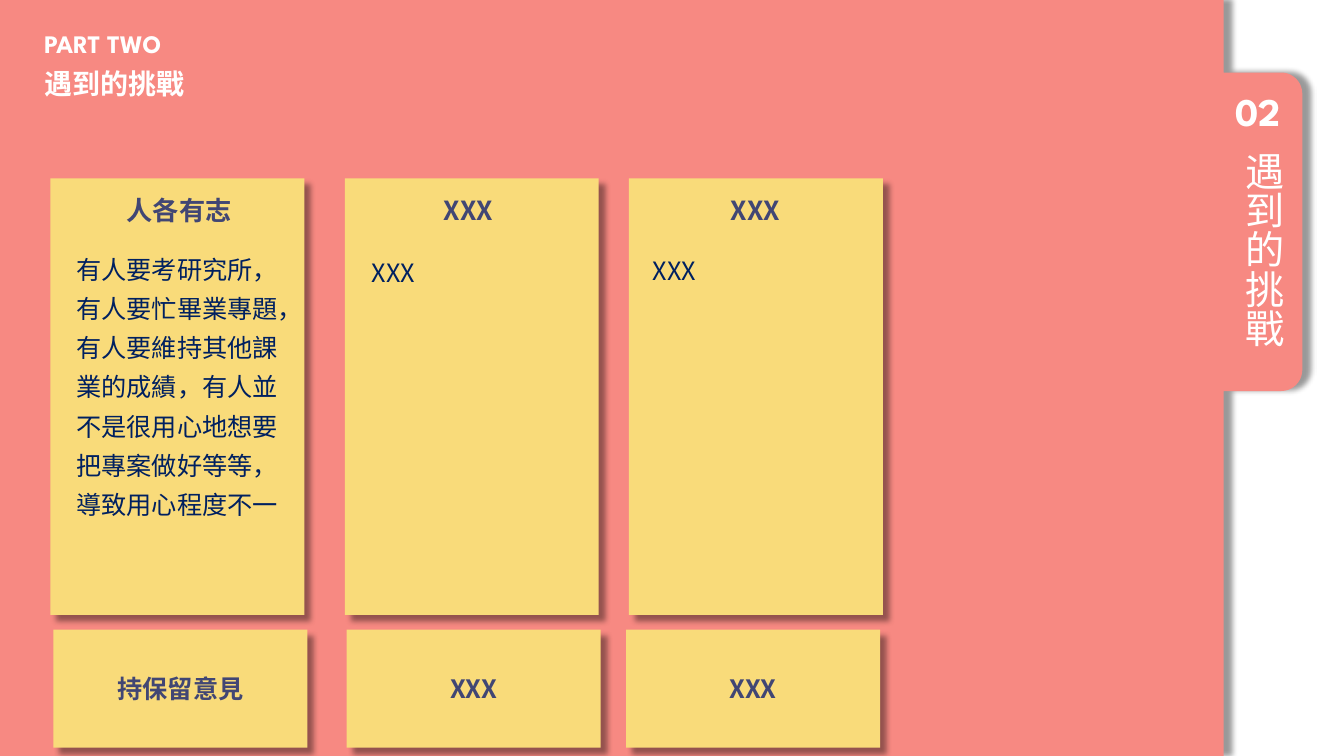
from dataclasses import dataclass
from math import cos, radians, sin

from lxml.etree import SubElement
from pptx import Presentation
from pptx.dml.color import RGBColor
from pptx.enum.shapes import MSO_SHAPE as Preset
from pptx.enum.text import MSO_ANCHOR as Anchor, MSO_AUTO_SIZE as Fit, PP_ALIGN as Align
from pptx.oxml.ns import qn
from pptx.util import Inches, Pt

WIDTH, HEIGHT = Inches(13.333), Inches(7.5)
CORAL = RGBColor(0xF7, 0x89, 0x82)
YELLOW = RGBColor(0xF9, 0xDB, 0x7A)
INDIGO = RGBColor(0x41, 0x46, 0x74)
NAVY = RGBColor(0x00, 0x20, 0x60)
WHITE = RGBColor(0xFF, 0xFF, 0xFF)
SANS = "Noto Sans CJK SC"
DISPLAY = "League Spartan"

CARD_TOP, CARD_WIDTH, CARD_HEIGHT = 23.6, 18.9, 57.73
TITLE_TOP, TITLE_HEIGHT = 25.1, 5.6
BODY_WIDTH = 16.5
VERDICT_TOP, VERDICT_HEIGHT = 83.3, 15.6


@dataclass
class Challenge:
    left: float
    title: str
    title_left: float
    title_width: float
    body: str
    body_left: float
    body_top: float
    body_height: float
    verdict: str
    verdict_left: float


CHALLENGES = [
    Challenge(3.75, "人各有志", 8.63, 9.38,
              "有人要考研究所，有人要忙畢業專題，有人要維持其他課業的成績，"
              "有人並不是很用心地想要把專案做好等等，導致用心程度不一",
              4.95, 31.73, 42.8, "持保留意見", 3.98),
    Challenge(25.65, "XXX", 32.03, 5.63, "XXX", 26.93, 32.13, 6.13, "XXX", 25.8),
    Challenge(46.8, "XXX", 53.4, 5.63, "XXX", 47.85, 31.87, 6.13, "XXX", 46.58),
]


def across(percent):
    return int(WIDTH * percent / 100)


def down(percent):
    return int(HEIGHT * percent / 100)


def area(left, top, width, height):
    return across(left), down(top), across(width), down(height)


def write(frame, words, size, color, font=SANS, bold=False, align=Align.LEFT):
    frame.text = words
    paragraph = frame.paragraphs[0]
    paragraph.alignment = align
    for run in paragraph.runs:
        run.font.size = Pt(size)
        run.font.bold = bold
        run.font.name = font
        run.font.color.rgb = color
        SubElement(run.font._element, qn("a:ea"), typeface=font)
    return paragraph


def finish(shape, color, shadow_angle):
    shape.fill.solid()
    shape.fill.fore_color.rgb = color
    shape.line.fill.background()
    shape.shadow.inherit = False
    effects = shape._element.spPr.find(qn("a:effectLst"))
    shadow = SubElement(effects, qn("a:outerShdw"), blurRad=str(Pt(4)), dist=str(Pt(6)),
                        dir=str(shadow_angle * 60000), algn="tl", rotWithShape="0")
    black = SubElement(shadow, qn("a:srgbClr"), val="000000")
    SubElement(black, qn("a:alpha"), val="40000")


def add_panel(slide):
    edge, tab_edge, tab_top, tab_bottom = across(91.05), across(96.9), down(9.6), down(51.73)
    radius = Inches(0.21)

    def corner(center_y, start):
        return [(int(tab_edge - radius + radius * cos(radians(angle))),
                 int(center_y + radius * sin(radians(angle))))
                for angle in range(start, start + 91, 6)]

    outline = [(edge, 0), (edge, tab_top), *corner(tab_top + radius, -90),
               *corner(tab_bottom - radius, 0), (edge, tab_bottom),
               (edge, HEIGHT), (0, HEIGHT)]
    builder = slide.shapes.build_freeform(0, 0)
    builder.add_line_segments(outline, close=True)
    panel = builder.convert_to_shape()
    finish(panel, CORAL, 0)
    slide.shapes._spTree.insert(2, panel._element)


def fill_placeholder(holder, place, words, size, font=SANS, bold=True, vertical=False):
    holder.left, holder.top, holder.width, holder.height = area(*place)
    frame = holder.text_frame
    frame.auto_size = Fit.NONE
    frame.vertical_anchor = Anchor.TOP
    paragraph = write(frame, words, size, WHITE, font, bold)
    paragraph.line_spacing = 0.9
    paragraph.space_before = Pt(10)
    if vertical:
        frame._txBody.bodyPr.set("vert", "eaVert")
        properties = paragraph._p.get_or_add_pPr()
        properties.set("marL", "0")
        properties.set("indent", "0")
        SubElement(properties, qn("a:buNone"))


def add_box(slide, place, color):
    box = slide.shapes.add_shape(Preset.RECTANGLE, *area(*place))
    finish(box, color, 45)
    return box


def add_label(slide, place, words, size, color, wrap, **style):
    frame = slide.shapes.add_textbox(*area(*place)).text_frame
    frame.word_wrap = wrap
    frame.auto_size = Fit.SHAPE_TO_FIT_TEXT
    return write(frame, words, size, color, **style)


def add_challenge(slide, item):
    add_box(slide, (item.left, CARD_TOP, CARD_WIDTH, CARD_HEIGHT), YELLOW)
    add_label(slide, (item.title_left, TITLE_TOP, item.title_width, TITLE_HEIGHT),
              item.title, 18.7, INDIGO, False, bold=True, align=Align.CENTER)
    body = add_label(slide, (item.body_left, item.body_top, BODY_WIDTH, item.body_height),
                     item.body, 18, NAVY, True)
    body.line_spacing = 1.3
    verdict = add_box(slide, (item.verdict_left, VERDICT_TOP, CARD_WIDTH, VERDICT_HEIGHT), YELLOW)
    verdict.text_frame.vertical_anchor = Anchor.MIDDLE
    write(verdict.text_frame, item.verdict, 18, INDIGO, bold=True, align=Align.CENTER)


def main():
    deck = Presentation()
    deck.slide_width, deck.slide_height = WIDTH, HEIGHT
    slide = deck.slides.add_slide(deck.slide_layouts.get_by_name("Comparison"))
    heading, part, chapter, number, spare = slide.placeholders
    spare._element.getparent().remove(spare._element)

    add_panel(slide)
    fill_placeholder(part, (2.55, 3.47, 32.33, 5.2), "PART TWO", 18, DISPLAY)
    fill_placeholder(heading, (2.55, 8.67, 32.33, 5.2), "遇到的挑戰", 20)
    fill_placeholder(number, (91.2, 11.6, 4.95, 7.87), "02", 28, DISPLAY)
    fill_placeholder(chapter, (91.2, 19.47, 4.95, 31.73), "遇到的挑戰", 28,
                     bold=False, vertical=True)
    for item in CHALLENGES:
        add_challenge(slide, item)
    deck.save("out.pptx")


if __name__ == "__main__":
    main()
